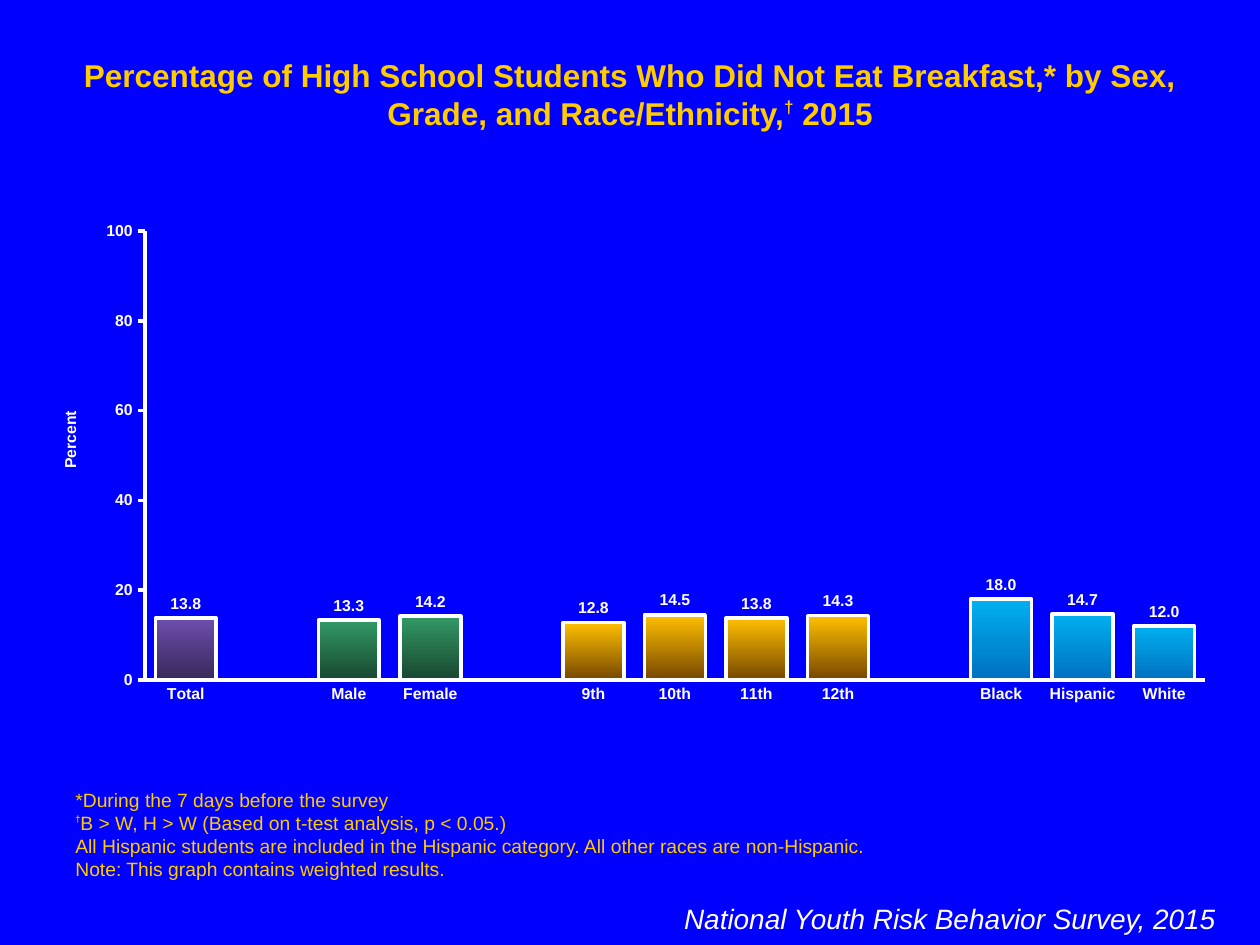
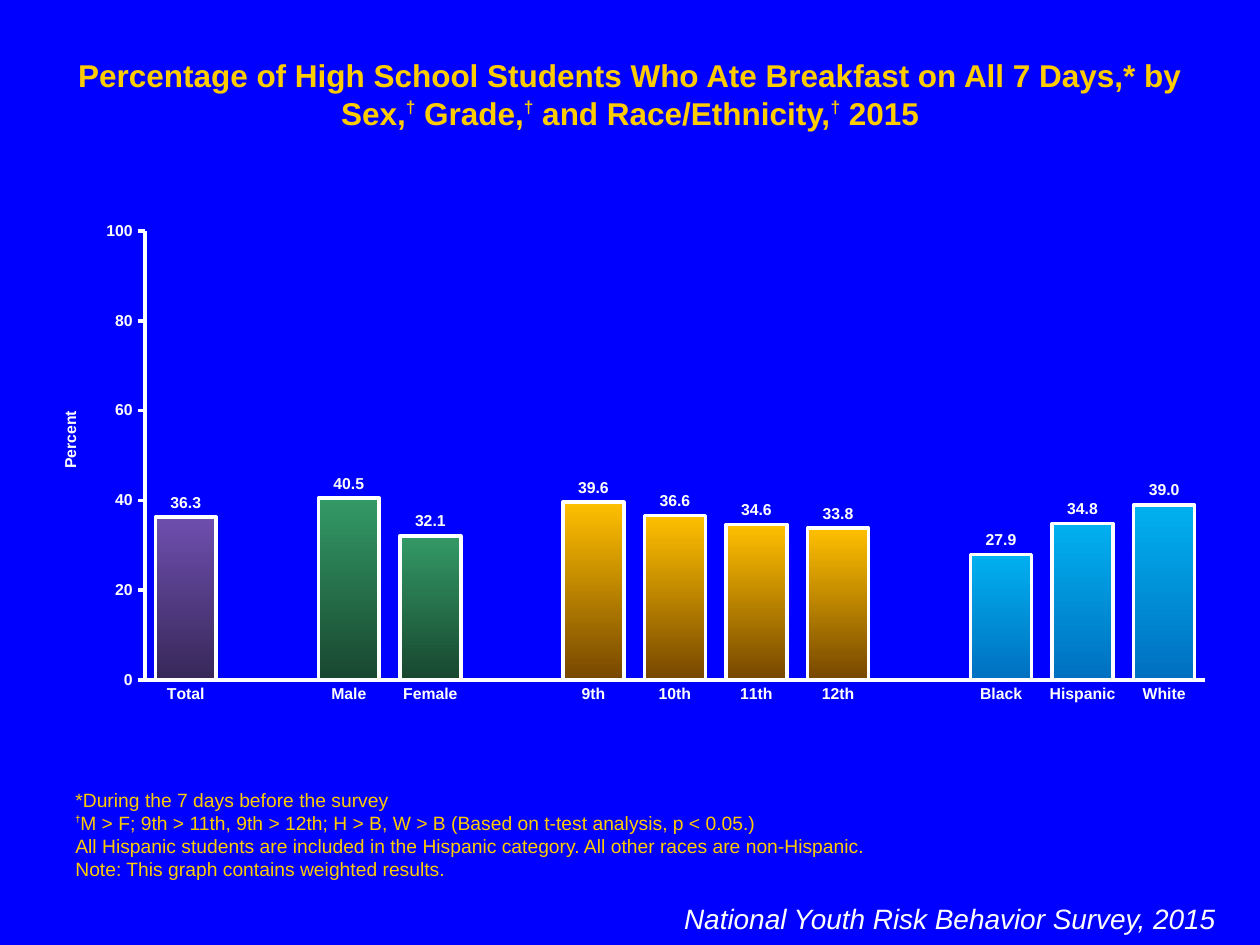
from dataclasses import dataclass
from lxml.etree import SubElement
from pptx import Presentation
from pptx.chart.data import CategoryChartData
from pptx.dml.color import RGBColor
from pptx.enum.chart import XL_CHART_TYPE, XL_LABEL_POSITION, XL_TICK_MARK
from pptx.enum.text import MSO_ANCHOR, MSO_AUTO_SIZE, PP_ALIGN
from pptx.oxml.ns import qn
from pptx.util import Pt


@dataclass(frozen=True)
class Theme:
    font: str = "Arial"
    background: RGBColor = RGBColor.from_string("0000FF")
    gold: RGBColor = RGBColor.from_string("FFCC00")
    white: RGBColor = RGBColor.from_string("FFFFFF")
    total: tuple = ("6E4EAE", "382859")
    sex: tuple = ("339966", "18472F")
    grade: tuple = ("FFC000", "764700")
    race: tuple = ("00B0F0", "0070C0")
    title_size: int = 18
    title_dagger_size: int = 17
    note_size: int = 11
    note_dagger_size: int = 9
    source_size: int = 16
    chart_size: int = 18
    label_size: int = 9
    line_width: int = 2


theme = Theme()
PX = 914400 / 126
CHART_LEFT, CHART_TOP, CHART_WIDTH, CHART_HEIGHT = 32, 213, 1197, 501


def write(para, text, size, color, dagger_size=None, baseline=None, **styles):
    para.font.name = theme.font
    para.font.color.rgb = color
    para.font.size = Pt(size)
    for style, value in styles.items():
        setattr(para.font, style, value)
    for piece in filter(None, text.replace("†", "|†|").split("|")):
        span = para.add_run()
        span.text = piece
        if piece == "†":
            span.font.size = Pt(dagger_size)
            span.font.bold = True
            span.font._element.set("baseline", str(baseline))


def place(parent, **settings):
    layout = parent.find(qn("c:layout"))
    if layout is None:
        layout = parent.makeelement(qn("c:layout"))
        parent.insert(0, layout)
    manual = SubElement(layout, qn("c:manualLayout"))
    for name, value in settings.items():
        SubElement(manual, qn(f"c:{name}")).set("val", str(value))


categories = ["Total", "", "Male", "Female", "", "9th", "10th", "11th", "12th",
              "", "Black", "Hispanic", "White"]
bar_colors = [theme.total, None, *[theme.sex] * 2, None, *[theme.grade] * 4,
              None, *[theme.race] * 3]
surveys = [
    ("Percentage of High School Students Who Did Not Eat Breakfast,* by Sex, "
     "Grade, and Race/Ethnicity,† 2015",
     "†B > W, H > W (Based on t-test analysis, p < 0.05.)",
     [13.8, None, 13.3, 14.2, None, 12.8, 14.5, 13.8, 14.3, None, 18, 14.7, 12]),
    ("Percentage of High School Students Who Ate Breakfast on All 7 Days,* by "
     "Sex,† Grade,† and Race/Ethnicity,† 2015",
     "†M > F; 9th > 11th, 9th > 12th; H > B, W > B (Based on t-test analysis, p < 0.05.)",
     [36.3, None, 40.5, 32.1, None, 39.6, 36.6, 34.6, 33.8, None, 27.9, 34.8, 39]),
]

deck = Presentation()
deck.slide_width, deck.slide_height = int(1260 * PX), int(945 * PX)
master_fill = deck.slide_master.background.fill
master_fill.solid()
master_fill.fore_color.rgb = theme.background

for heading, finding, percents in surveys:
    slide = deck.slides.add_slide(deck.slide_layouts[5])

    title = slide.shapes.title
    title.left, title.top, title.width, title.height = (
        int(length * PX) for length in (63, 50, 1134, 87))
    title.text_frame.auto_size = MSO_AUTO_SIZE.NONE
    title.text_frame.vertical_anchor = MSO_ANCHOR.TOP
    title_para = title.text_frame.paragraphs[0]
    title_para.alignment = PP_ALIGN.CENTER
    write(title_para, heading, theme.title_size, theme.gold,
          theme.title_dagger_size, 40000, bold=True)

    notes_box = slide.shapes.add_textbox(
        *(int(length * PX) for length in (63, 781, 1134, 106)))
    notes_frame = notes_box.text_frame
    notes_frame.word_wrap = True
    notes_frame.vertical_anchor = MSO_ANCHOR.BOTTOM
    notes = ["*During the 7 days before the survey", finding,
             "All Hispanic students are included in the Hispanic category. "
             "All other races are non-Hispanic.",
             "Note: This graph contains weighted results."]
    for index, note in enumerate(notes):
        para = notes_frame.add_paragraph() if index else notes_frame.paragraphs[0]
        write(para, note, theme.note_size, theme.gold,
              theme.note_dagger_size, 50000)

    source_box = slide.shapes.add_textbox(
        *(int(length * PX) for length in (535, 895, 693, 47)))
    source_box.text_frame.word_wrap = True
    source_para = source_box.text_frame.paragraphs[0]
    source_para.alignment = PP_ALIGN.RIGHT
    write(source_para, "National Youth Risk Behavior Survey, 2015",
          theme.source_size, theme.white, italic=True)

    data = CategoryChartData(number_format="#,##0.0")
    data.categories = categories
    data.add_series("Series 1", percents)
    chart = slide.shapes.add_chart(
        XL_CHART_TYPE.COLUMN_CLUSTERED,
        *(int(length * PX) for length in
          (CHART_LEFT, CHART_TOP, CHART_WIDTH, CHART_HEIGHT)), data).chart
    chart.has_title = False
    chart.has_legend = False
    chart.font.name = theme.font
    chart.font.size = Pt(theme.chart_size)
    chart.font.color.rgb = theme.white

    plot = chart.plots[0]
    plot.vary_by_categories = False
    plot.gap_width = 34
    plot.overlap = 100
    plot.has_data_labels = True
    labels = plot.data_labels
    labels.show_value = True
    labels.number_format = "#,##0.0"
    labels.number_format_is_linked = False
    labels.position = XL_LABEL_POSITION.OUTSIDE_END

    percent_axis = chart.value_axis
    percent_axis.minimum_scale = 0
    percent_axis.maximum_scale = 100
    percent_axis.major_unit = 20
    percent_axis.has_major_gridlines = False
    percent_axis.tick_labels.number_format = "General"
    percent_axis.tick_labels.number_format_is_linked = False
    for axis, tick in ((chart.category_axis, XL_TICK_MARK.NONE),
                       (percent_axis, XL_TICK_MARK.OUTSIDE)):
        axis.major_tick_mark = tick
        axis.minor_tick_mark = XL_TICK_MARK.NONE
        axis.format.line.color.rgb = theme.white
        axis.format.line.width = Pt(theme.line_width)
    for font in (labels.font, chart.category_axis.tick_labels.font,
                 percent_axis.tick_labels.font):
        font.name = theme.font
        font.size = Pt(theme.label_size)
        font.bold = True
        font.color.rgb = theme.white

    axis_frame = percent_axis.axis_title.text_frame
    axis_frame._txBody.bodyPr.set("rot", "-5400000")
    axis_frame._txBody.bodyPr.set("vert", "horz")
    write(axis_frame.paragraphs[0], "Percent", theme.label_size, theme.white,
          bold=True)
    place(percent_axis.axis_title._element, xMode="edge", yMode="edge",
          x=round((57 - CHART_LEFT) / CHART_WIDTH, 4),
          y=round((408 - CHART_TOP) / CHART_HEIGHT, 4))
    place(chart._chartSpace.chart.plotArea, layoutTarget="inner",
          xMode="edge", yMode="edge",
          x=round((145 - CHART_LEFT) / CHART_WIDTH, 4),
          y=round((231 - CHART_TOP) / CHART_HEIGHT, 4),
          w=round(1060 / CHART_WIDTH, 4), h=round(449 / CHART_HEIGHT, 4))

    for index, colors in enumerate(bar_colors):
        if colors:
            bar = plot.series[0].points[index].format
            bar.fill.gradient()
            bar.fill.gradient_angle = 270
            for stop, color in zip(bar.fill.gradient_stops, colors):
                stop.color.rgb = RGBColor.from_string(color)
            bar.line.color.rgb = theme.white
            bar.line.width = Pt(theme.line_width)

deck.save("out.pptx")
